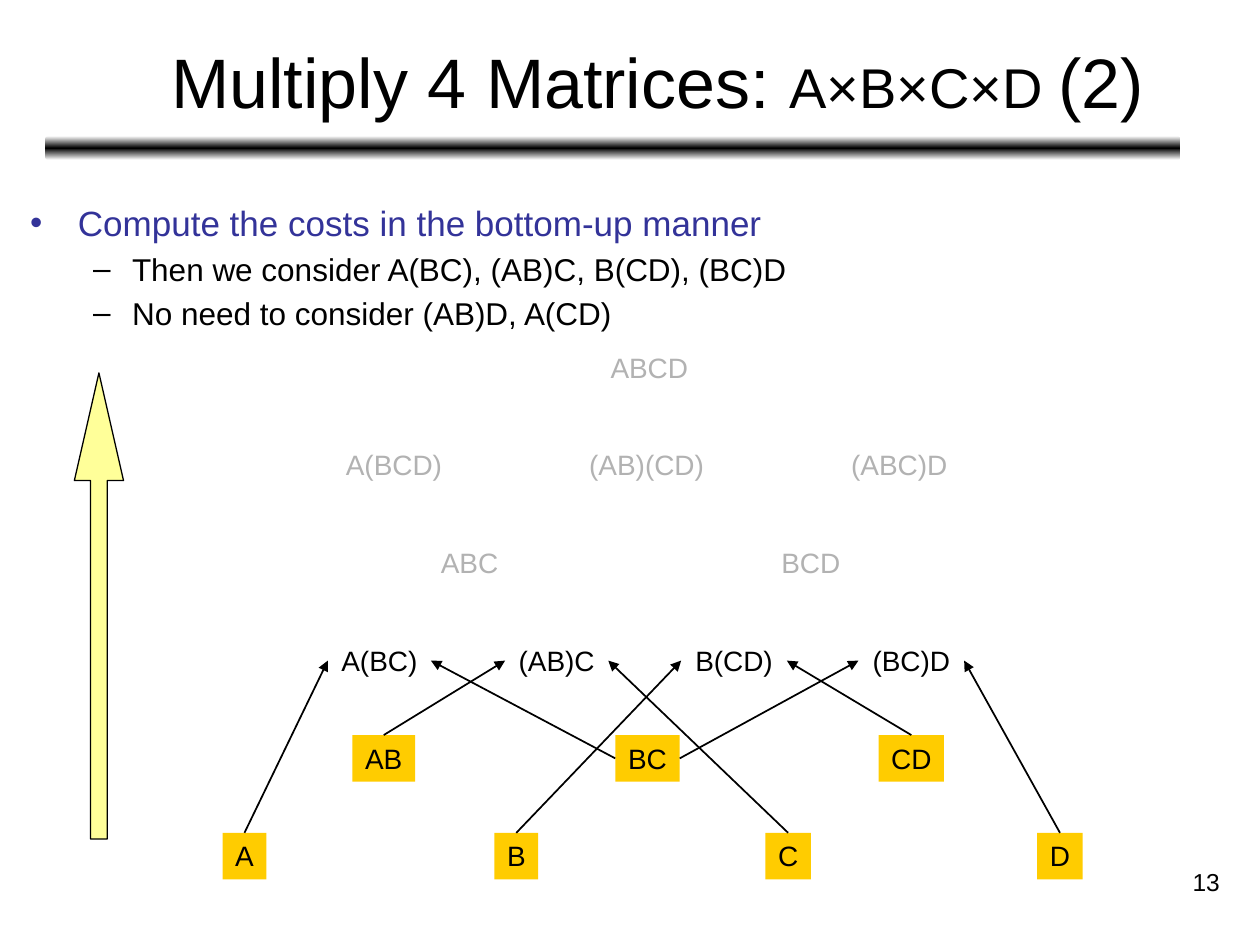
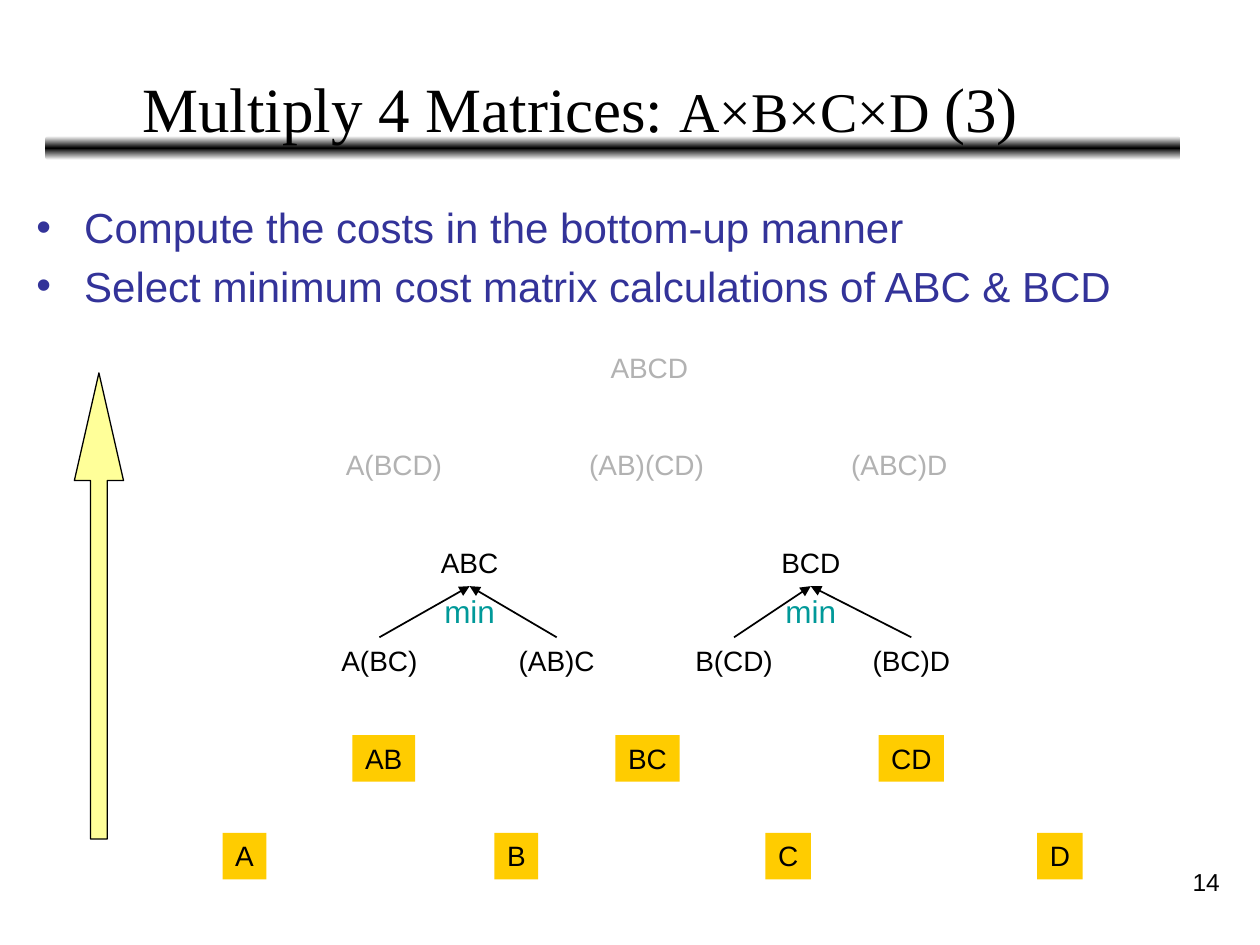
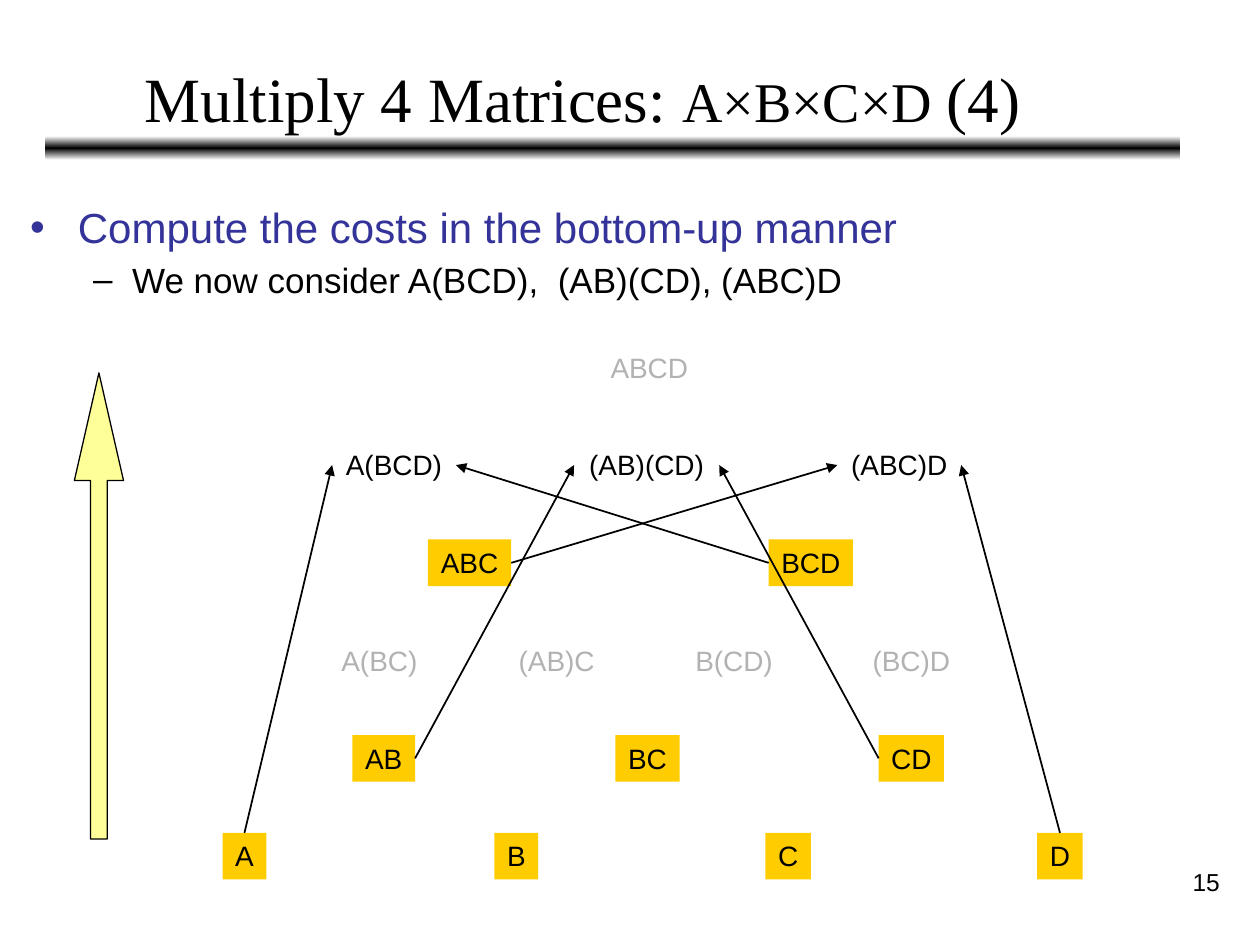
from pptx import Presentation
from pptx import util as u
from pptx.dml.color import RGBColor
from pptx.enum import shapes, text
from pptx.oxml import parse_xml
from pptx.oxml.ns import nsdecls, qn
from lxml import etree

BLACK = RGBColor(0x00, 0x00, 0x00)
NAVY = RGBColor(0x33, 0x33, 0x99)
GREY = RGBColor(0xB2, 0xB2, 0xB2)
AMBER = RGBColor(0xFF, 0xCC, 0x00)
PALE_YELLOW = RGBColor(0xFF, 0xFF, 0x99)
TEAL = RGBColor(0x00, 0x99, 0x99)
SANS, SERIF = "Arial", "Times New Roman"

# Boxes in inches: left, top, width, height
BAND = (0.36, 1.08, 9.01, 0.19)
NUMBER = (7.7, 6.83, 2.08, 0.5)
CLIMB = (0.59, 2.96, 0.39, 3.7)
DIAGRAM = (1.77, 2.73, 6.82, 4.25)
TITLE_SIZE = (8.74, 0.76)
BODY_SIZE = (9.36, 1.18)
LABEL_HEIGHT = 0.37
TOP, LEFT, BOTTOM, RIGHT = range(4)

# Levels of the diagram, top to bottom, in hundredths of its width:
# centre of the first label, centre of the last, and each label's width
LEVELS = [
    (49.6, 49.6, {"ABCD": 12}),
    (19.9, 78.7, {"A(BCD)": 14.4, "(AB)(CD)": 16.9, "(ABC)D": 14.4}),
    (28.7, 68.4, {"ABC": 9.7, "BCD": 9.8}),
    (18.2, 80.1, {"A(BC)": 12, "(AB)C": 12, "B(CD)": 12.3, "(BC)D": 12.3}),
    (18.7, 80.1, {"AB": 7.3, "BC": 7.5, "CD": 7.6}),
    (2.5, 97.4, {"A": 5.1, "B": 5.1, "C": 5.3, "D": 5.3}),
]

HEADLINE = "Compute the costs in the bottom-up manner"
SLIDES = [
    dict(number=13, step="(2)", title_at=(0.85, 0.26), title_font=SANS, title_size=40,
         centred=True, body_at=(0.14, 1.55), boxed={4, 5}, faded={0, 1, 2}, minima=[],
         points=[(0, 20, HEADLINE),
                 (1, 18, "Then we consider A(BC), (AB)C, B(CD), (BC)D"),
                 (1, 18, "No need to consider (AB)D, A(CD)")],
         arrows=[("A", TOP, "A(BC)", LEFT), ("BC", LEFT, "A(BC)", RIGHT),
                 ("AB", TOP, "(AB)C", LEFT), ("C", TOP, "(AB)C", RIGHT),
                 ("B", TOP, "B(CD)", LEFT), ("CD", TOP, "B(CD)", RIGHT),
                 ("BC", RIGHT, "(BC)D", LEFT), ("D", TOP, "(BC)D", RIGHT)]),
    dict(number=14, step="(3)", title_at=(1.03, 0.44), title_font=SERIF, title_size=36,
         centred=False, body_at=(0.19, 1.55), boxed={4, 5}, faded={0, 1},
         minima=["ABC", "BCD"],
         points=[(0, 24, HEADLINE),
                 (0, 24, "Select minimum cost matrix calculations of ABC & BCD")],
         arrows=[("A(BC)", TOP, "ABC", BOTTOM), ("(AB)C", TOP, "ABC", BOTTOM),
                 ("B(CD)", TOP, "BCD", BOTTOM), ("(BC)D", TOP, "BCD", BOTTOM)]),
    dict(number=15, step="(4)", title_at=(1.05, 0.36), title_font=SERIF, title_size=36,
         centred=False, body_at=(0.14, 1.55), boxed={2, 4, 5}, faded={0, 3}, minima=[],
         points=[(0, 24, HEADLINE),
                 (1, 20, "We now consider A(BCD),  (AB)(CD), (ABC)D")],
         arrows=[("A", TOP, "A(BCD)", LEFT), ("BCD", LEFT, "A(BCD)", RIGHT),
                 ("AB", RIGHT, "(AB)(CD)", LEFT), ("CD", LEFT, "(AB)(CD)", RIGHT),
                 ("ABC", RIGHT, "(ABC)D", LEFT), ("D", TOP, "(ABC)D", RIGHT)]),
]


def inches(box):
    return [u.Inches(length) for length in box]


def style(run, size, color=BLACK, font=SANS):
    run.font.size, run.font.name = u.Pt(size), font
    run.font.color.rgb = color


def add_words(slide, box, words, size, color=BLACK, align=text.PP_ALIGN.CENTER):
    """One line of text in its own box."""
    words_box = slide.shapes.add_textbox(*inches(box))
    words_box.text_frame.word_wrap = False
    line = words_box.text_frame.paragraphs[0]
    line.text, line.alignment = words, align
    style(line.runs[0], size, color)
    return words_box


def add_band(layout, slide):
    """Draw the rule under the title and hand it to the shared layout."""
    band = slide.shapes.add_shape(shapes.MSO_SHAPE.ROUNDED_RECTANGLE, *inches(BAND))
    band.shadow.inherit = False
    band.line.fill.background()
    band.fill.background()
    stops = "".join(f'<a:gs pos="{pos}"><a:srgbClr val="{color}"/></a:gs>'
                    for pos, color in ((0, "FFFFFF"), (50000, "000000"), (100000, "FFFFFF")))
    no_fill = band.element.spPr.find(qn("a:noFill"))
    band.element.spPr.replace(no_fill, parse_xml(
        f'<a:gradFill {nsdecls("a")} rotWithShape="1"><a:gsLst>{stops}</a:gsLst>'
        '<a:lin ang="5400000" scaled="1"/></a:gradFill>'))
    layout.shapes.element.insert(2, band.element)


def fill_title(slide, spec_of_slide):
    title = slide.shapes.title
    title.left, title.top, title.width, title.height = inches(
        spec_of_slide["title_at"] + TITLE_SIZE)
    frame = title.text_frame
    frame.auto_size, frame.word_wrap = text.MSO_AUTO_SIZE.NONE, True
    centred = spec_of_slide["centred"]
    frame.vertical_anchor = text.MSO_ANCHOR.MIDDLE if centred else text.MSO_ANCHOR.BOTTOM
    heading = frame.paragraphs[0]
    heading.alignment = text.PP_ALIGN.CENTER if centred else text.PP_ALIGN.LEFT
    size = spec_of_slide["title_size"]
    for words, run_size in (("Multiply 4 Matrices: ", size), ("A×B×C×D ", 32),
                            (spec_of_slide["step"], size)):
        run = heading.add_run()
        run.text = words
        style(run, run_size, font=spec_of_slide["title_font"])


def add_points(slide, box, points):
    """Bulleted points on two levels."""
    frame = slide.shapes.add_textbox(*inches(box)).text_frame
    frame.word_wrap = True
    for i, (level, size, words) in enumerate(points):
        point = frame.add_paragraph() if i else frame.paragraphs[0]
        point.text, point.level = words, level
        point.space_before = u.Pt(size * 0.2 if i else 0)
        style(point.runs[0], size, BLACK if level else NAVY)
        margin, hanging, mark = ((0.38, 0.38, "•"), (0.81, 0.31, "–"))[level]
        props = point._p.get_or_add_pPr()
        props.set("marL", str(u.Inches(margin)))
        props.set("indent", str(-u.Inches(hanging)))
        etree.SubElement(props, qn("a:buFont")).set("typeface", SANS)
        etree.SubElement(props, qn("a:buChar")).set("char", mark)


def add_climb(slide, box):
    """Tall arrow that shows the bottom-up direction."""
    climb = slide.shapes.add_shape(shapes.MSO_SHAPE.UP_ARROW, *inches(box))
    climb.shadow.inherit = False
    climb.adjustments[0], climb.adjustments[1] = 0.34, 2.19
    climb.fill.solid()
    climb.fill.fore_color.rgb = PALE_YELLOW
    climb.line.color.rgb, climb.line.width = BLACK, u.Pt(0.75)


def add_labels(slide, box, boxed, faded):
    """Place the products level by level; return them by name."""
    left, top, width, height = box
    column, row = width / 100, (height - LABEL_HEIGHT) / (len(LEVELS) - 1)
    labels = {}
    for level, (first, last, products) in enumerate(LEVELS):
        pitch = (last - first) / max(len(products) - 1, 1)
        for i, (product, span) in enumerate(products.items()):
            label_box = (left + (first + i * pitch - span / 2) * column,
                         top + level * row, span * column, LABEL_HEIGHT)
            label = add_words(slide, label_box, product, 16, GREY if level in faded else BLACK)
            if level in boxed:
                label.fill.solid()
                label.fill.fore_color.rgb = AMBER
            labels[product] = label
    return labels


def add_arrow(slide, source, source_side, target, target_side):
    arrow = slide.shapes.add_connector(shapes.MSO_CONNECTOR.STRAIGHT, 0, 0, 0, 0)
    arrow.begin_connect(source, source_side)
    arrow.end_connect(target, target_side)
    arrow.line.color.rgb, arrow.line.width = BLACK, u.Pt(1)
    etree.SubElement(arrow.line._get_or_add_ln(), qn("a:tailEnd")).set("type", "triangle")
    etree.SubElement(arrow.element.spPr, qn("a:effectLst"))


def add_diagram(slide, box, content):
    labels = add_labels(slide, box, content["boxed"], content["faded"])
    for source, source_side, target, target_side in content["arrows"]:
        add_arrow(slide, labels[source], source_side, labels[target], target_side)
    # "min" under each product that is chosen from two
    for product in content["minima"]:
        label = labels[product]
        centre = u.Length(label.left + label.width // 2).inches
        under = u.Length(label.top + label.height).inches
        add_words(slide, (centre - 0.31, under, 0.62, 0.4), "min", 18, TEAL)


def add_step(prs, layout, content):
    slide = prs.slides.add_slide(layout)
    fill_title(slide, content)
    add_points(slide, content["body_at"] + BODY_SIZE, content["points"])
    add_climb(slide, CLIMB)
    add_diagram(slide, DIAGRAM, content)
    add_words(slide, NUMBER, str(content["number"]), 14, align=text.PP_ALIGN.RIGHT).text_frame.word_wrap = True
    return slide


def main():
    prs = Presentation()
    prs.slide_width, prs.slide_height = u.Inches(10), u.Inches(7.5)
    layout = prs.slide_layouts[5]
    steps = [add_step(prs, layout, content) for content in SLIDES]
    add_band(layout, steps[0])
    prs.save("out.pptx")


if __name__ == "__main__":
    main()
